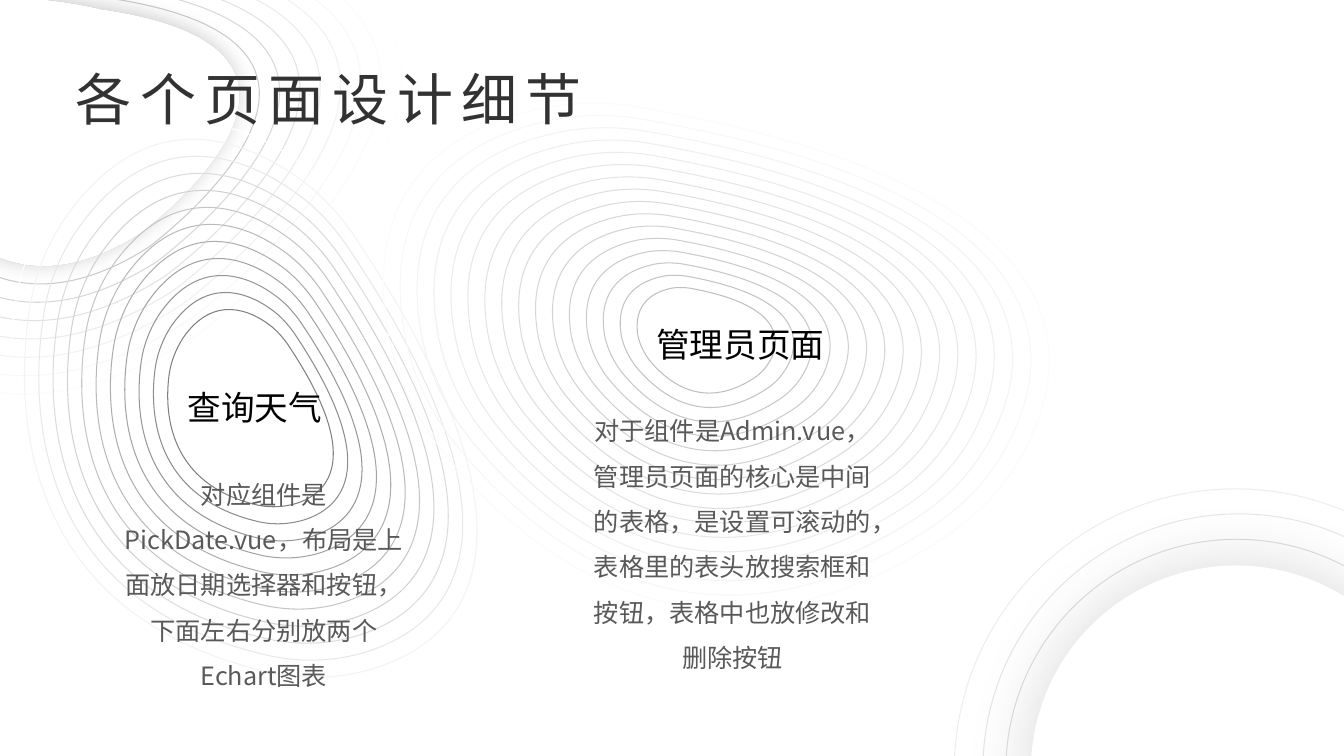
from lxml import etree
from pptx import Presentation
from pptx.dml.color import RGBColor
from pptx.enum.shapes import MSO_SHAPE
from pptx.enum.text import MSO_ANCHOR, MSO_AUTO_SIZE, PP_ALIGN
from pptx.oxml.ns import qn
from pptx.util import Cm, Pt

LEFT, CENTER = PP_ALIGN.LEFT, PP_ALIGN.CENTER
TOP, GROW = MSO_ANCHOR.TOP, MSO_AUTO_SIZE.SHAPE_TO_FIT_TEXT
FONT = "Noto Sans CJK SC"

# Content: text, frame (left, top, width, height in cm)
TITLE = ("各个页面设计细节", (1.78, 1.5, 13.28, 2.08))
TOPICS = [
    ("查询天气", (4.6, 9.63, 4.14, 1.35),
     "对应组件是PickDate.vue，布局是上面放日期选择器和按钮，下面左右分别放两个Echart图表",
     (2.74, 11.56, 7.82, 6.17)),
    ("管理员页面", (16.41, 8.03, 4.93, 1.35),
     "对于组件是Admin.vue，管理员页面的核心是中间的表格，是设置可滚动的，"
     "表格里的表头放搜索框和按钮，表格中也放修改和删除按钮",
     (14.55, 9.96, 7.82, 7.44)),
]
TITLE_STYLE = {"size": Pt(40), "color": "323232", "align": LEFT, "spacing": 1, "wrap": False}
HEADING_STYLE = {"size": Pt(24), "color": "000000", "align": LEFT, "spacing": 1, "wrap": True}
BODY_STYLE = {"size": Pt(18), "color": "595959", "align": CENTER, "spacing": 1.5, "wrap": True}

# Closed Bezier outlines in cm: a start, then two handles and an end per segment
CORNER_OUTER = [(3.3, -2.24), (3.3, -2.24), (-9.14, -5.44), (-6.78, 3.68), (-6.78, 3.68),
                (-3.53, 14.38), (5.23, 8.76), (5.23, 8.76), (17.42, -0.25)]
CORNER_INNER = [(2.54, 0.25), (2.54, 0.25), (-3.81, -1.4), (-2.62, 3.28), (-2.62, 3.28),
                (-0.94, 8.71), (3.53, 5.87), (3.53, 5.87), (9.75, 1.27)]
WEATHER_OUTER = [(7.67, 4.17), (6.27, 3.15), (3.63, 1.96), (1.37, 5.16), (0.84, 5.92),
                 (0.51, 6.78), (0.38, 7.72), (0, 10.29), (0.08, 15.85), (6.86, 17.37),
                 (7.85, 17.58), (8.86, 17.53), (9.8, 17.2), (12.01, 16.43), (14.63, 13.89),
                 (9.04, 5.59), (8.66, 5.05), (8.2, 4.55)]
WEATHER_INNER = [(6.78, 8.18), (6.3, 7.82), (5.38, 7.42), (4.62, 8.51), (4.44, 8.79),
                 (4.32, 9.09), (4.27, 9.4), (4.14, 10.29), (4.17, 12.19), (6.5, 12.73),
                 (6.83, 12.8), (7.19, 12.78), (7.52, 12.67), (8.28, 12.4), (9.17, 11.53),
                 (7.24, 8.66), (7.11, 8.48), (6.96, 8.31)]
ADMIN_INNER = [(16.94, 7.26), (16.54, 7.34), (15.93, 7.59), (16.08, 8.48), (16.13, 8.69),
               (16.23, 8.89), (16.36, 9.07), (16.74, 9.53), (17.65, 10.41), (19, 9.53),
               (19.2, 9.4), (19.35, 9.22), (19.46, 8.99), (19.66, 8.51), (19.66, 7.67),
               (17.37, 7.26), (17.22, 7.24), (17.07, 7.24)]
ADMIN_OUTER = [(13.87, 2.69), (11.99, 3.02), (8.97, 4.24), (9.8, 8.51), (10.01, 9.53),
               (10.44, 10.46), (11.1, 11.3), (12.9, 13.56), (17.4, 17.81), (23.85, 13.51),
               (24.79, 12.88), (25.53, 12.04), (25.98, 11.02), (27.08, 8.64), (27.03, 4.6),
               (16.05, 2.69), (15.34, 2.57), (14.58, 2.57)]
ADMIN_RIM = [(15.37, 1.55), (13.36, 1.37), (9.98, 1.78), (9.68, 6.35), (9.6, 7.44),
             (9.78, 8.53), (10.21, 9.53), (11.43, 12.34), (14.86, 17.88), (22.61, 15.27),
             (23.7, 14.88), (24.69, 14.22), (25.45, 13.31), (27.2, 11.18), (28.24, 7.06),
             (17.6, 2.13), (16.92, 1.8), (16.15, 1.6)]

# Shadows: colour, opacity %, blur, distance (pt), direction (degrees)
RING_SHADOW = ("323232", 10, 50, 0, 0)
CORNER_SHADOW = ("000000", 20, 15, 3, 225)
DISC_SHADOW = ("000000", 15, 50, 0, 0)

# Contour sets: first outline, last outline, count, first grey, last grey, fades in, shadow
CONTOURS = {
    "corner": (CORNER_OUTER, CORNER_INNER, 9, 0xF8, 0xBF, True, RING_SHADOW),
    "weather": (WEATHER_OUTER, WEATHER_INNER, 12, 0xFF, 0x80, False, None),
    "admin": (ADMIN_INNER, ADMIN_OUTER, 16, 0xBF, 0xFB, False, None),
}
# Circles: left, top, diameter (cm), line opacity %
CIRCLES = [(25.35, 13.59, 11.63, 82), (24.77, 12.95, 12.9, 64), (24.05, 12.32, 14.17, 45)]
DISC = (25.98, 14.25, 10.34)


def rgb(value):
    return RGBColor.from_string(value)


def add_alpha(color_node, percent):
    etree.SubElement(color_node, qn("a:alpha"), val=str(round(percent * 1000)))


def paint(shape, fill=None, line=None, width=0.75, opacity=100, shadow=None):
    shape.shadow.inherit = False
    if fill:
        shape.fill.solid()
        shape.fill.fore_color.rgb = rgb(fill)
    else:
        shape.fill.background()
    properties = shape._element.spPr
    if line:
        shape.line.color.rgb = rgb(line)
        shape.line.width = Pt(width)
        if opacity < 100:
            add_alpha(properties.find(qn("a:ln")).find(".//" + qn("a:srgbClr")), opacity)
    else:
        shape.line.fill.background()
    if shadow:
        color, strength, blur, distance, angle = shadow
        effect = etree.SubElement(
            properties.find(qn("a:effectLst")), qn("a:outerShdw"), blurRad=str(Pt(blur)),
            dist=str(Pt(distance)), dir=str(angle * 60000), algn="ctr", rotWithShape="0")
        add_alpha(etree.SubElement(effect, qn("a:srgbClr"), val=color), strength)


def blend(first, last, share):
    return first + (last - first) * share


def curve_bounds(closed, axis, steps=24):
    """Lowest and highest place, in EMU, that the curve reaches along one axis."""
    reach = []
    for start in range(0, len(closed) - 1, 3):
        a, b, c, d = (corner[axis] for corner in closed[start:start + 4])
        for t in (step / steps for step in range(steps)):
            reach.append((1 - t) ** 3 * a + 3 * t * (1 - t) ** 2 * b
                         + 3 * t * t * (1 - t) * c + t ** 3 * d)
    return Cm(min(reach)), Cm(max(reach))


def add_outline(shapes, outline, **style):
    closed = outline + outline[:1]
    (left, right), (top, bottom) = (curve_bounds(closed, axis) for axis in (0, 1))
    builder = shapes.build_freeform(left, top)
    builder.add_line_segments([(right, bottom)], close=True)
    shape = builder.convert_to_shape()

    # Bezier segments inside the frame
    track = shape._element.spPr.find(".//" + qn("a:path"))
    for node in list(track):
        track.remove(node)

    def add_step(tag, corners):
        step = etree.SubElement(track, qn(tag))
        for x, y in corners:
            etree.SubElement(step, qn("a:pt"), x=str(Cm(x) - left), y=str(Cm(y) - top))

    add_step("a:moveTo", closed[:1])
    for start in range(1, len(closed), 3):
        add_step("a:cubicBezTo", closed[start:start + 3])
    add_step("a:close", [])
    paint(shape, **style)


def add_contours(shapes, first, last, count, first_grey, last_grey, fades, shadow):
    for index in range(count):
        share = index / (count - 1)
        outline = [tuple(blend(a, b, share) for a, b in zip(p, q)) for p, q in zip(first, last)]
        grey = round(blend(first_grey, last_grey, share))
        opacity = 100 * (index + 1) / count if fades else 100
        add_outline(shapes, outline, line=f"{grey:02X}" * 3, opacity=opacity, shadow=shadow)


def add_circle(shapes, left, top, diameter, **style):
    frame = (Cm(v) for v in (left, top, diameter, diameter))
    paint(shapes.add_shape(MSO_SHAPE.OVAL, *frame), **style)


def write(box, text, frame, style):
    for name, value in zip(("left", "top", "width", "height"), frame):
        setattr(box, name, Cm(value))
    body = box.text_frame
    settings = {"word_wrap": style["wrap"], "auto_size": GROW, "vertical_anchor": TOP}
    settings.update({f"margin_{side}": Cm(0.13) for side in ("left", "right", "top", "bottom")})
    para = body.paragraphs[0]
    span = para.add_run()
    span.text = text
    layout = {"alignment": style["align"], "line_spacing": style["spacing"], "space_before": Pt(0)}
    look = {"name": FONT, "size": style["size"], "bold": False}
    for target, values in ((body, settings), (para, layout), (span.font, look)):
        for name, value in values.items():
            setattr(target, name, value)
    span.font.color.rgb = rgb(style["color"])
    span.font._element.find(qn("a:latin")).addnext(etree.Element(qn("a:ea"), typeface=FONT))
    return span


def main():
    deck = Presentation()
    deck.slide_width, deck.slide_height = Cm(33.87), Cm(19.05)
    page = deck.slides.add_slide(deck.slide_layouts[5])
    shapes = page.shapes

    # Contour backgrounds
    for name, contour in CONTOURS.items():
        group = shapes.add_group_shape().shapes
        add_contours(group, *contour)
        if name == "corner":
            add_outline(group, CORNER_INNER, fill="FFFFFF", line="FFFFFF", shadow=CORNER_SHADOW)
    add_outline(shapes, ADMIN_RIM, line="FFFFFF", width=0.32)

    # Topics
    for heading, heading_frame, detail, detail_frame in TOPICS:
        write(shapes.add_textbox(0, 0, 0, 0), heading, heading_frame, HEADING_STYLE)
        write(shapes.add_textbox(0, 0, 0, 0), detail, detail_frame, BODY_STYLE)

    # Title, in front of the contours
    title = shapes.title
    write(title, *TITLE, TITLE_STYLE).font._element.set("spc", "600")
    shapes._spTree.append(title._element)

    # Circles in the lower right corner
    circles = shapes.add_group_shape().shapes
    for *place, opacity in CIRCLES:
        add_circle(circles, *place, line="D9D9D9", opacity=opacity)
    add_circle(circles, *DISC, fill="FFFFFF", shadow=DISC_SHADOW)

    deck.save("out.pptx")


if __name__ == "__main__":
    main()
